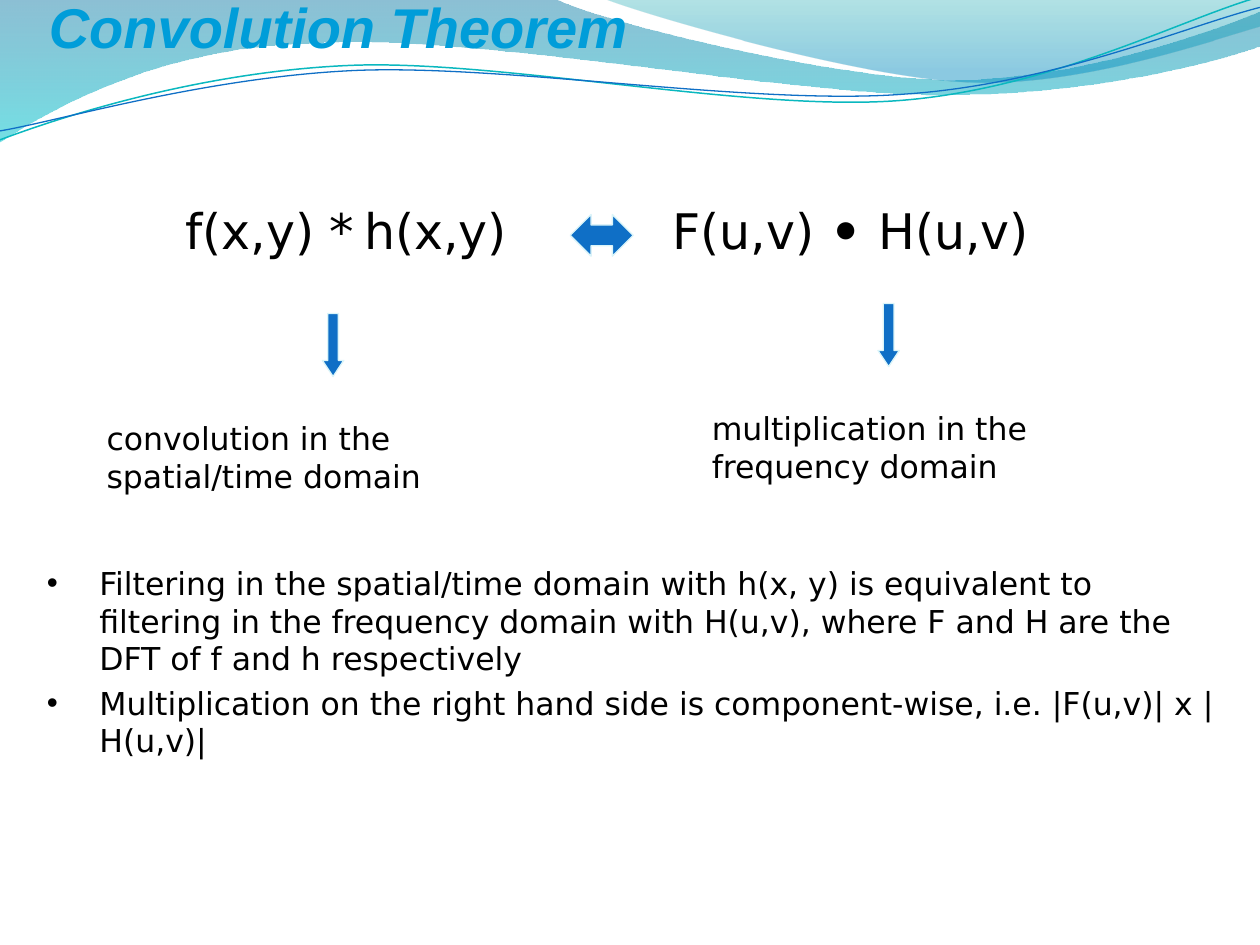
from lxml import etree
from pptx import Presentation
from pptx.dml.color import RGBColor
from pptx.enum.shapes import MSO_SHAPE
from pptx.enum.text import MSO_ANCHOR, MSO_AUTO_SIZE, PP_ALIGN
from pptx.oxml.ns import qn
from pptx.util import Cm, Pt

DOWN_ARROW = MSO_SHAPE.DOWN_ARROW
UP_DOWN_ARROW = MSO_SHAPE.UP_DOWN_ARROW
TOP = MSO_ANCHOR.TOP
LEFT = PP_ALIGN.LEFT
NO_AUTOFIT = MSO_AUTO_SIZE.NONE

COLORS = {
    "title": "009DD9",
    "text": "000000",
    "arrow": "0F6FC6",
    "arrow_edge": "DBF5F9",
    "teal_line": "0AB8BF",
    "blue_line": "0F6FC6",
    "wide_top": "0074A1",
    "wide_bottom": "00C6CF",
    "right_top": "00A1A9",
    "right_bottom": "008BBF",
}
BODY_FONT = "DejaVu Sans"
TITLE_FONT = "Arial"

WIDE_WAVE = [
    [(0, 0)],
    [(11.18, -0.03)],
    [(12.09, 0.43), (16.87, 1.6), (19.25, 1.6)],
    [(21.67, 1.6), (24.33, 0.66), (25.4, 0.23)],
    [(25.43, 0.91)],
    [(24.97, 1.12), (22.1, 1.93), (18.95, 1.91)],
    [(15.8, 1.91), (9.7, 0.71), (6.53, 0.86)],
    [(3.28, 0.91), (1.17, 2.11), (-0.03, 2.87)],
    [(0, 0)],
]
RIGHT_WAVE = [
    [(12.17, -0.03)],
    [(12.93, 0.28), (17.32, 1.57), (19.53, 1.65)],
    [(21.74, 1.75), (24.41, 0.81), (25.4, 0.53)],
    [(25.4, 0)],
    [(12.17, -0.03)],
]
TEAL_CURVE = [
    [(0, 2.82)],
    [(1.22, 2.36), (4.01, 1.45), (7.04, 1.32)],
    [(10.03, 1.19), (15.06, 2.26), (18.11, 2.03)],
    [(21.16, 1.8), (23.83, 0.38), (25.35, -0.05)],
]
BLUE_CURVE = [
    [(0, 2.64)],
    [(1.19, 2.44), (4.17, 1.55), (7.19, 1.42)],
    [(10.24, 1.3), (15.16, 2.13), (18.21, 1.9)],
    [(21.23, 1.7), (23.9, 0.53), (25.4, 0.15)],
]
BULLETS = [
    "Filtering in the spatial/time domain with h(x, y) is equivalent to "
    "filtering in the frequency domain with H(u,v), where F and H are the "
    "DFT of f and h respectively",
    "Multiplication on the right hand side is component-wise, "
    "i.e. |F(u,v)| x |H(u,v)|",
]


def color(name):
    """Return the named palette colour."""
    return RGBColor.from_string(COLORS[name])


def place(shape, left, top, width, height):
    """Set a shape's frame in centimetres."""
    shape.left, shape.top = Cm(left), Cm(top)
    shape.width, shape.height = Cm(width), Cm(height)


def style_font(font, size, name=BODY_FONT, ink="text"):
    """Set size, typeface and colour of a font."""
    font.size, font.name = Pt(size), name
    font.color.rgb = color(ink)


def add_outline(slide, segments, closed):
    """Add a freeform whose three-point segments are cubic curves."""
    start, *rest = [(Cm(x), Cm(y)) for segment in segments for x, y in segment]
    builder = slide.shapes.build_freeform(*start)
    builder.add_line_segments(rest, close=closed)
    outline = builder.convert_to_shape()
    outline.shadow.inherit = False
    steps = iter(list(outline._element.spPr.iter(qn("a:lnTo"))))
    for segment in segments[1:]:
        first, *others = [next(steps) for _ in segment]
        if others:
            first.tag = qn("a:cubicBezTo")
        for step in others:
            first.append(step[0])
            step.getparent().remove(step)
    return outline


def add_wave(slide, segments, stops):
    """Add a band with a translucent vertical gradient."""
    wave = add_outline(slide, segments, True)
    wave.line.fill.background()
    wave.fill.gradient()
    wave.fill.gradient_angle = 270
    for stop, (position, ink, _) in zip(wave.fill.gradient_stops, stops):
        stop.position = position
        stop.color.rgb = color(ink)
    shades = wave._element.spPr.iter(qn("a:srgbClr"))
    for shade, (_, _, opacity) in zip(shades, stops):
        etree.SubElement(shade, qn("a:alpha"), val=str(opacity * 1000))


def add_curve(slide, segments, ink, weight):
    """Add an open curved line."""
    curve = add_outline(slide, segments, False)
    curve.fill.background()
    curve.line.color.rgb = color(ink)
    curve.line.width = Pt(weight)


def add_arrow(slide, kind, frame, adjustments, rotation=0):
    """Add a block arrow with a pale edge."""
    arrow = slide.shapes.add_shape(kind, *map(Cm, frame))
    arrow.adjustments[0], arrow.adjustments[1] = adjustments
    arrow.rotation = rotation
    arrow.shadow.inherit = False
    arrow.fill.solid()
    arrow.fill.fore_color.rgb = color("arrow")
    arrow.line.color.rgb = color("arrow_edge")
    arrow.line.width = Pt(0.75)


def add_text(slide, frame, pieces):
    """Add a text box of (text, size, bold) pieces."""
    box = slide.shapes.add_textbox(*map(Cm, frame))
    box.text_frame.word_wrap = True
    paragraph = box.text_frame.paragraphs[0]
    for text, size, bold in pieces:
        run = paragraph.add_run()
        run.text = text
        style_font(run.font, size)
        run.font.bold = bold


def fill_title(slide, text):
    """Write and place the title."""
    title = slide.shapes.title
    place(title, 0.73, -0.28, 17.96, 1.63)
    frame = title.text_frame
    frame.text = text
    frame.vertical_anchor, frame.auto_size = TOP, NO_AUTOFIT
    paragraph = frame.paragraphs[0]
    paragraph.alignment = LEFT
    font = paragraph.runs[0].font
    style_font(font, 32, TITLE_FONT, "title")
    font.bold = font.italic = True


def fill_bullets(slide, lines):
    """Write and place the bulleted list."""
    body = slide.placeholders[1]
    place(body, 0.69, 11.24, 24.15, 6.43)
    frame = body.text_frame
    frame.text = "\n".join(lines)
    frame.vertical_anchor, frame.auto_size = TOP, NO_AUTOFIT
    for index, paragraph in enumerate(frame.paragraphs):
        properties = paragraph._p.get_or_add_pPr()
        properties.set("marL", str(Cm(1.06)))
        properties.set("indent", str(Cm(-1.06)))
        etree.SubElement(properties, qn("a:buFont"), typeface=TITLE_FONT)
        etree.SubElement(properties, qn("a:buChar"), char="•")
        paragraph.space_before = Pt(3.6 if index else 0)
        style_font(paragraph.font, 18)
        style_font(paragraph.runs[0].font, 18)


def main():
    """Build the slide and save it."""
    deck = Presentation()
    deck.slide_width, deck.slide_height = Cm(25.4), Cm(19.05)
    slide = deck.slides.add_slide(deck.slide_layouts[1])

    add_wave(slide, WIDE_WAVE, [(0, "wide_top", 45), (1, "wide_bottom", 55)])
    add_wave(slide, RIGHT_WAVE, [(0, "right_top", 30), (0.8, "right_bottom", 45)])
    add_curve(slide, TEAL_CURVE, "teal_line", 0.85)
    add_curve(slide, BLUE_CURVE, "blue_line", 0.75)
    for placeholder in list(slide.placeholders):
        slide.shapes._spTree.append(placeholder._element)
    fill_title(slide, "Convolution Theorem")
    fill_bullets(slide, BULLETS)

    add_text(slide, (3.49, 3.92, 11.63, 1.45),
             [("f(x,y) *", 28, False), (" ", 18, False), ("h(x,y)", 28, False)])
    add_text(slide, (13.31, 3.92, 8, 1.45),
             [("F(u,v) ", 28, False), ("• ", 28, True), ("H(u,v)", 28, False)])
    add_text(slide, (1.9, 8.33, 9.4, 2.29),
             [("convolution in the spatial/time domain", 18, False)])
    add_text(slide, (14.1, 8.13, 9.8, 2.29),
             [("multiplication in the frequency domain", 18, False)])

    add_arrow(slide, UP_DOWN_ARROW, (11.71, 4.11, 0.84, 1.27), (0.3, 0.5), 90)
    for left, top in ((6.5, 6.32), (17.7, 6.12)):
        add_arrow(slide, DOWN_ARROW, (left, top, 0.43, 1.27), (0.5, 0.75))
    deck.save("out.pptx")


if __name__ == "__main__":
    main()
